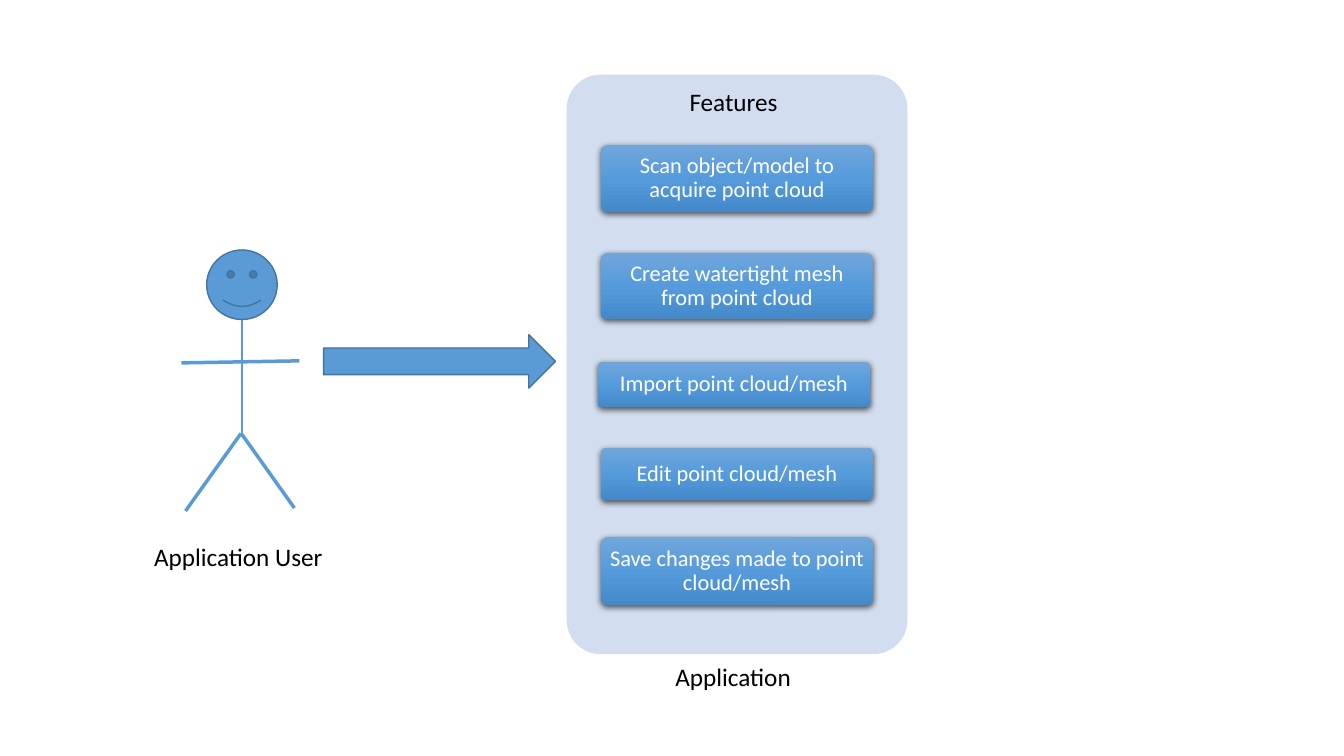
from pptx import Presentation
from pptx.dml.color import RGBColor
from pptx.enum.shapes import MSO_CONNECTOR, MSO_SHAPE
from pptx.enum.text import MSO_ANCHOR, MSO_AUTO_SIZE, PP_ALIGN
from pptx.oxml import parse_xml
from pptx.oxml.ns import nsdecls
from pptx.util import Inches, Pt

BLUE = "5B9BD5"
BUTTON_GRADIENT = f"""<a:gradFill {nsdecls('a')} rotWithShape="1"><a:gsLst>
<a:gs pos="0"><a:srgbClr val="71A6DB"/></a:gs>
<a:gs pos="50000"><a:srgbClr val="559BDB"/></a:gs>
<a:gs pos="100000"><a:srgbClr val="448ACA"/></a:gs>
</a:gsLst><a:lin ang="5400000" scaled="0"/></a:gradFill>"""
BUTTON_SHADOW = f"""<a:effectLst {nsdecls('a')}>
<a:outerShdw blurRad="57150" dist="19050" dir="5400000" algn="ctr" rotWithShape="0">
<a:srgbClr val="000000"><a:alpha val="63000"/></a:srgbClr></a:outerShdw></a:effectLst>"""


def color(value):
    return RGBColor.from_string(value)


def write(box, text, size, value, **frame_format):
    """Fill the box with one Calibri paragraph and return the paragraph."""
    for name, setting in frame_format.items():
        setattr(box.text_frame, name, setting)
    para = box.text_frame.paragraphs[0]
    span = para.add_run()
    span.text = text
    span.font.name = "Calibri"
    span.font.size = Pt(size)
    span.font.color.rgb = color(value)
    return para


deck = Presentation()
deck.slide_width, deck.slide_height = Inches(13.33), Inches(7.5)
page = deck.slides.add_slide(deck.slide_layouts[6])

# User figure and the arrow to the application
for kind, place in (
    (MSO_SHAPE.SMILEY_FACE, (2.05, 2.48, 0.7, 0.69)),
    (MSO_SHAPE.RIGHT_ARROW, (3.21, 3.32, 2.3, 0.53)),
):
    shape = page.shapes.add_shape(kind, *map(Inches, place))
    shape.shadow.inherit = False
    shape.fill.solid()
    shape.fill.fore_color.rgb = color(BLUE)
    shape.line.color.rgb = color("43739E")
    shape.line.width = Pt(1)

for ends, width in (
    ((2.4, 3.17, 2.4, 4.32), 2),  # body
    ((2.4, 4.31, 2.92, 5.04), 2.5),  # right leg
    ((2.39, 4.3, 1.84, 5.07), 2.5),  # left leg
    ((1.8, 3.6, 2.97, 3.58), 2.5),  # arms
):
    limb = page.shapes.add_connector(MSO_CONNECTOR.STRAIGHT, *map(Inches, ends))
    limb.line.color.rgb = color(BLUE)
    limb.line.width = Pt(width)
    limb._element.spPr.append(parse_xml(f"<a:effectLst {nsdecls('a')}/>"))

# Application panel with its features
panel = page.shapes.add_shape(
    MSO_SHAPE.ROUNDED_RECTANGLE, Inches(5.62), Inches(0.74), Inches(3.38), Inches(5.75)
)
panel.adjustments[0] = 0.1
panel.shadow.inherit = False
panel.fill.solid()
panel.fill.fore_color.rgb = color("D2DEEF")
panel.line.fill.background()

button_format = {
    "word_wrap": True,
    "vertical_anchor": MSO_ANCHOR.MIDDLE,
    "margin_left": Inches(0.06),
    "margin_right": Inches(0.06),
    "margin_top": Inches(0.05),
    "margin_bottom": Inches(0.05),
}
for text, left, top, height in (
    ("Scan object/model to acquire point cloud", 5.96, 1.44, 0.66),
    ("Create watertight mesh from point cloud", 5.96, 2.51, 0.66),
    ("Import point cloud/mesh", 5.93, 3.59, 0.45),
    ("Edit point cloud/mesh", 5.96, 4.44, 0.52),
    ("Save changes made to point cloud/mesh", 5.96, 5.33, 0.67),
):
    button = page.shapes.add_shape(
        MSO_SHAPE.ROUNDED_RECTANGLE, Inches(left), Inches(top), Inches(2.7), Inches(height)
    )
    button.adjustments[0] = 0.1
    button.line.fill.background()
    properties = button._element.spPr
    properties.insert(2, parse_xml(BUTTON_GRADIENT))
    properties.append(parse_xml(BUTTON_SHADOW))
    para = write(button, text, 16, "FFFFFF", **button_format)
    para.alignment = PP_ALIGN.CENTER
    para.line_spacing = 0.9

for text, left, top, width in (
    ("Application User", 1.43, 5.32, 1.9),
    ("Features", 6.74, 0.81, 1.08),
    ("Application", 6.6, 6.51, 1.35),
):
    label = page.shapes.add_textbox(Inches(left), Inches(top), Inches(width), Inches(0.4))
    write(label, text, 18, "000000", word_wrap=False, auto_size=MSO_AUTO_SIZE.SHAPE_TO_FIT_TEXT)

deck.save("out.pptx")
